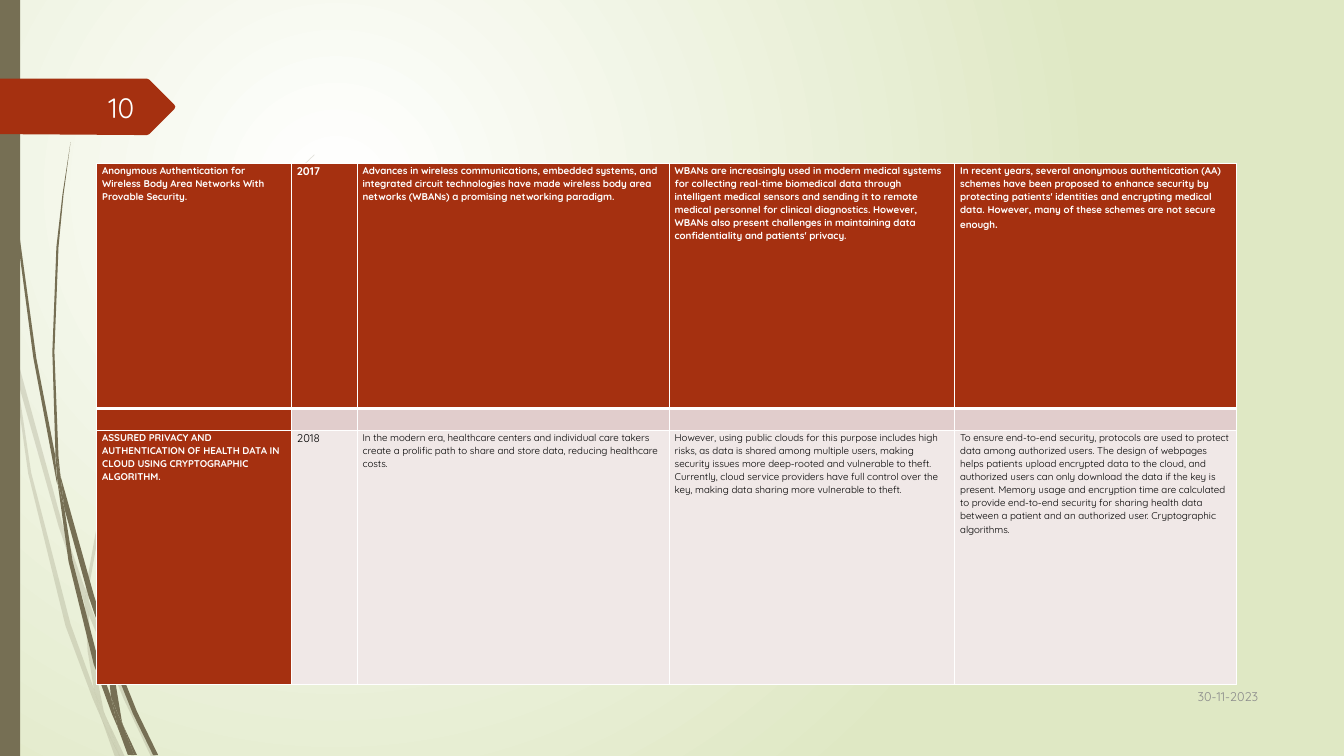
from dataclasses import dataclass

from lxml import etree
from pptx import Presentation
from pptx import oxml
from pptx.dml.color import RGBColor
from pptx.enum import shapes, text
from pptx.oxml import ns
from pptx.util import Pt

FONT = "Quicksand"
OLIVE, RUST, WHITE = "766F54", "A53010", "FFFFFF"
Outline = list[tuple[float, float]]


@dataclass
class Entry:
    text: str = ""
    size: float = 7
    closing: str = ""


@dataclass
class Label:
    text: str
    box: tuple[float, float, float, float]
    size: float
    color: str


PALE_BLADES: list[Outline] = [
    [(7.9, 252), (6.5, 231.8), (0, 203), (0, 215.3), (7.2, 247.7)],
    [(41.8, 375.8), (60.5, 431.3), (61.2, 421.9), (44.6, 374.4), (10.1, 248.4), (12.2, 270.7)],
    [(66.2, 437), (63.4, 429.1), (63.4, 439.2), (88.6, 499.7), (108, 540.7), (111.6, 540.7),
     (91.4, 498.2)],
    [(85.7, 540.7), (89.3, 540.7), (75.6, 511.9)],
    [(67, 491.8), (50.4, 445.7), (22.3, 337.7), (12.2, 270.7), (7.9, 252), (20.2, 338.4),
     (46.8, 447.1), (66.2, 499), (72.7, 514.1), (71.3, 509)],
    [(60.5, 431.3), (62.6, 465.1), (67, 491.8), (69.1, 498.2), (75.6, 511.9), (74.2, 508.3),
     (65.5, 465.1), (63.4, 439.2), (63.4, 437.8)],
    [(63.4, 420.5), (79.2, 332.6), (115.2, 251.3), (164.9, 176.4), (193, 142.6), (208.8, 126),
     (224.6, 110.9), (224.6, 110.2), (208.1, 126), (193, 141.8), (164.2, 175.7), (113.8, 250.6),
     (77, 331.9), (61.2, 420.5), (61.2, 421.9), (63.4, 429.1)],
    [(72.7, 514.1), (82.1, 540.7), (85.7, 540.7)],
    [(63.4, 437.8), (63.4, 439.2), (63.4, 429.1), (61.2, 421.9), (60.5, 431.3)],
    [(69.1, 498.2), (67, 491.8), (71.3, 509), (72.7, 514.1), (85.7, 540.7), (75.6, 511.9)],
]
DARK_BLADES: list[Outline] = [
    [(5, 79.2), (12.2, 167.8), (23.8, 255.6), (40.3, 343.4), (41, 346.3), (39.6, 329),
     (39.6, 326.2), (25.9, 255.6), (13.7, 167), (5.8, 78.5), (3.6, 34.6), (2.9, 0), (2.2, 0),
     (2.9, 34.6)],
    [(63.4, 426.2), (76.3, 464.4), (76.3, 454.3), (67, 424.8), (43.2, 339.8), (46.1, 363.6)],
    [(81.4, 467.3), (79.2, 461.5), (79.9, 472.3), (95, 509.8), (109.4, 539.3), (113, 539.3),
     (97.9, 508.3)],
    [(79.2, 497.5), (70.6, 473), (51.8, 400.3), (46.1, 363.6), (41, 343.4), (49, 401),
     (67, 474.5), (79.9, 509.8), (84.2, 519.8), (83.5, 516.2)],
    [(43.2, 339.8), (41.8, 326.2), (38.9, 251.3), (41.8, 176.4), (45.4, 139), (50.4, 101.5),
     (44.6, 139), (40.3, 176.4), (37.4, 251.3), (39.6, 323.3)],
    [(95.8, 539.3), (97.9, 539.3), (87.8, 517.7)],
    [(41, 343.4), (46.1, 363.6), (43.2, 339.8), (39.6, 323.3), (39.6, 326.2)],
    [(79.9, 455.8), (90, 397.4), (113.8, 342.7), (147.6, 292.3), (166.3, 269.3), (176.4, 258.5),
     (187.9, 247.7), (187.2, 247.7), (176.4, 257.8), (166.3, 268.6), (146.9, 291.6),
     (112.3, 341.3), (87.8, 396.7), (76.3, 454.3), (79.2, 461.5)],
    [(84.2, 519.8), (91.4, 539.3), (94.3, 539.3)],
    [(76.3, 464.4), (79.2, 497.5), (83.5, 508.3), (87.8, 517.7), (87.1, 515.5), (79.9, 472.3),
     (78.5, 468.7)],
    [(76.3, 464.4), (78.5, 468.7), (79.9, 472.3), (79.2, 461.5), (76.3, 454.3)],
    [(83.5, 508.3), (79.2, 497.5), (83.5, 516.2), (84.2, 519.8), (93.6, 539.3), (95.8, 539.3),
     (87.8, 517.7)],
]
PAGE_TAB: Outline = [(0, 56.2), (105, 56.2), (106.6, 56.9), (124.6, 74.9), (125.2, 76.3),
                     (124.6, 77.8), (106.6, 95.8), (105, 96.5), (0, 95.8)]

COLUMN_WIDTHS = [139.1, 46.9, 223, 203.9, 201.1]
ROW_HEIGHTS = [175, 15.8, 181.2]
ROW_FILLS = [RUST, "E1CDCC", "F0E8E7"]
PAPERS = [
    [Entry("Anonymous Authentication for Wireless Body Area Networks With Provable Security."),
     Entry("2017", 8),
     Entry("Advances in wireless communications, embedded systems, and integrated circuit "
           "technologies have made wireless body area networks (WBANs) a promising networking "
           "paradigm."),
     Entry("WBANs are increasingly used in modern medical systems for collecting real-time "
           "biomedical data through intelligent medical sensors and sending it to remote medical "
           "personnel for clinical diagnostics. However, WBANs also present challenges in "
           "maintaining data confidentiality and patients' privacy."),
     Entry("In recent years, several anonymous authentication (AA) schemes have been proposed to "
           "enhance security by protecting patients' identities and encrypting medical data. "
           "However, many of these schemes are not secure enough", closing=".")],
    [Entry()] * 5,
    [Entry("ASSURED PRIVACY AND AUTHENTICATION OF HEALTH DATA IN CLOUD USING CRYPTOGRAPHIC "
           "ALGORITHM."),
     Entry("2018", 8),
     Entry("In the modern era, healthcare centers and individual care takers create a prolific "
           "path to share and store data, reducing healthcare costs."),
     Entry("However, using public clouds for this purpose includes high risks, as data is shared "
           "among multiple users, making security issues more deep-rooted and vulnerable to theft. "
           "Currently, cloud service providers have full control over the key, making data sharing "
           "more vulnerable to theft."),
     Entry("To ensure end-to-end security, protocols are used to protect data among authorized "
           "users. The design of webpages helps patients upload encrypted data to the cloud, and "
           "authorized users can only download the data if the key is present. Memory usage and "
           "encryption time are calculated to provide end-to-end security for sharing health data "
           "between a patient and an authorized user. Cryptographic algorithms.")],
]
LABELS = [Label("30-11-2023", (815.8, 482.4, 90, 29.5), 9, "8C8C8C"),
          Label("10", (41.8, 61.9, 61.2, 28.8), 20, "FEFFFF")]


def set_fill(target, color: str) -> None:
    target.fill.solid()
    target.fill.fore_color.rgb = RGBColor.from_string(color)


def style_run(run, size: float, color: str, bold: bool = False) -> None:
    run.font.name, run.font.size, run.font.bold = FONT, Pt(size), bold
    set_fill(run.font, color)


def finish_shape(shape, color: str, alpha: int = 100) -> None:
    shape.shadow.inherit = False
    shape.line.fill.background()
    set_fill(shape, color)
    if alpha < 100:
        rgb = shape.fill._xPr.find(".//" + ns.qn("a:srgbClr"))
        etree.SubElement(rgb, ns.qn("a:alpha"), val=str(alpha * 1000))


def draw_outline(slide, outline: Outline, color: str, alpha: int = 100) -> None:
    corners = [(Pt(x), Pt(y)) for x, y in outline]
    builder = slide.shapes.build_freeform(*corners[0])
    builder.add_line_segments(corners[1:], close=True)
    finish_shape(builder.convert_to_shape(), color, alpha)


def paint_background(slide) -> None:
    slide.background.fill.solid()
    solid = slide.background._cSld.find(".//" + ns.qn("a:solidFill"))
    solid.getparent().replace(solid, oxml.parse_xml(
        f'<a:gradFill {ns.nsdecls("a")} rotWithShape="1"><a:gsLst>'
        '<a:gs pos="0"><a:srgbClr val="FFFFFF"/></a:gs>'
        '<a:gs pos="100000"><a:srgbClr val="DFE8C4"/></a:gs></a:gsLst><a:path path="circle">'
        '<a:fillToRect l="50000" t="50000" r="100000" b="100000"/></a:path></a:gradFill>'))


def fill_cell(cell, entry: Entry, row: int, column: int) -> None:
    heading = row == 0 or column == 0
    for side in "LRTB":
        width = 3 if (row, side) == (0, "B") else 1
        cell._tc.get_or_add_tcPr().append(oxml.parse_xml(
            f'<a:ln{side} {ns.nsdecls("a")} w="{Pt(width)}"><a:solidFill>'
            f'<a:srgbClr val="{WHITE}"/></a:solidFill></a:ln{side}>'))
    set_fill(cell, RUST if heading else ROW_FILLS[row])
    cell.margin_left = cell.margin_right = Pt(3.8)
    cell.margin_top = cell.margin_bottom = Pt(0)
    paragraph = cell.text_frame.paragraphs[0]
    if not entry.text:
        paragraph._p.get_or_add_endParaRPr().set("sz", "700")
        return
    paragraph.text = entry.text
    paragraph.line_spacing, paragraph.space_after = 1.07, Pt(8)
    color = WHITE if heading else "000000"
    style_run(paragraph.runs[0], entry.size, color, heading)
    if entry.closing:
        closing = paragraph.add_run()
        closing.text = entry.closing
        style_run(closing, 8, color, heading)


def add_papers(slide) -> None:
    papers = slide.shapes.add_table(len(ROW_HEIGHTS), len(COLUMN_WIDTHS), Pt(69.2), Pt(116.8),
                                    Pt(sum(COLUMN_WIDTHS)), Pt(sum(ROW_HEIGHTS))).table
    for column, width in zip(papers.columns, COLUMN_WIDTHS):
        column.width = Pt(width)
    for r, (height, entries) in enumerate(zip(ROW_HEIGHTS, PAPERS)):
        papers.rows[r].height = Pt(height)
        for c, entry in enumerate(entries):
            fill_cell(papers.cell(r, c), entry, r, c)


def add_label(slide, label: Label) -> None:
    frame = slide.shapes.add_textbox(*map(Pt, label.box)).text_frame
    frame.word_wrap, frame.vertical_anchor = True, text.MSO_ANCHOR.MIDDLE
    frame.text = label.text
    frame.paragraphs[0].alignment = text.PP_ALIGN.RIGHT
    style_run(frame.paragraphs[0].runs[0], label.size, label.color)


def main() -> None:
    deck = Presentation()
    deck.slide_width, deck.slide_height = Pt(960), Pt(540)
    slide = deck.slides.add_slide(deck.slide_layouts[6])
    paint_background(slide)
    for blades, alpha in ((PALE_BLADES, 20), (DARK_BLADES, 100)):
        for blade in blades:
            draw_outline(slide, blade, OLIVE, alpha)
    edge_bar = slide.shapes.add_shape(shapes.MSO_SHAPE.RECTANGLE, Pt(0), Pt(0), Pt(14.4), Pt(540))
    finish_shape(edge_bar, OLIVE)
    draw_outline(slide, PAGE_TAB, RUST)
    add_papers(slide)
    for label in LABELS:
        add_label(slide, label)
    deck.save("out.pptx")


if __name__ == "__main__":
    main()
